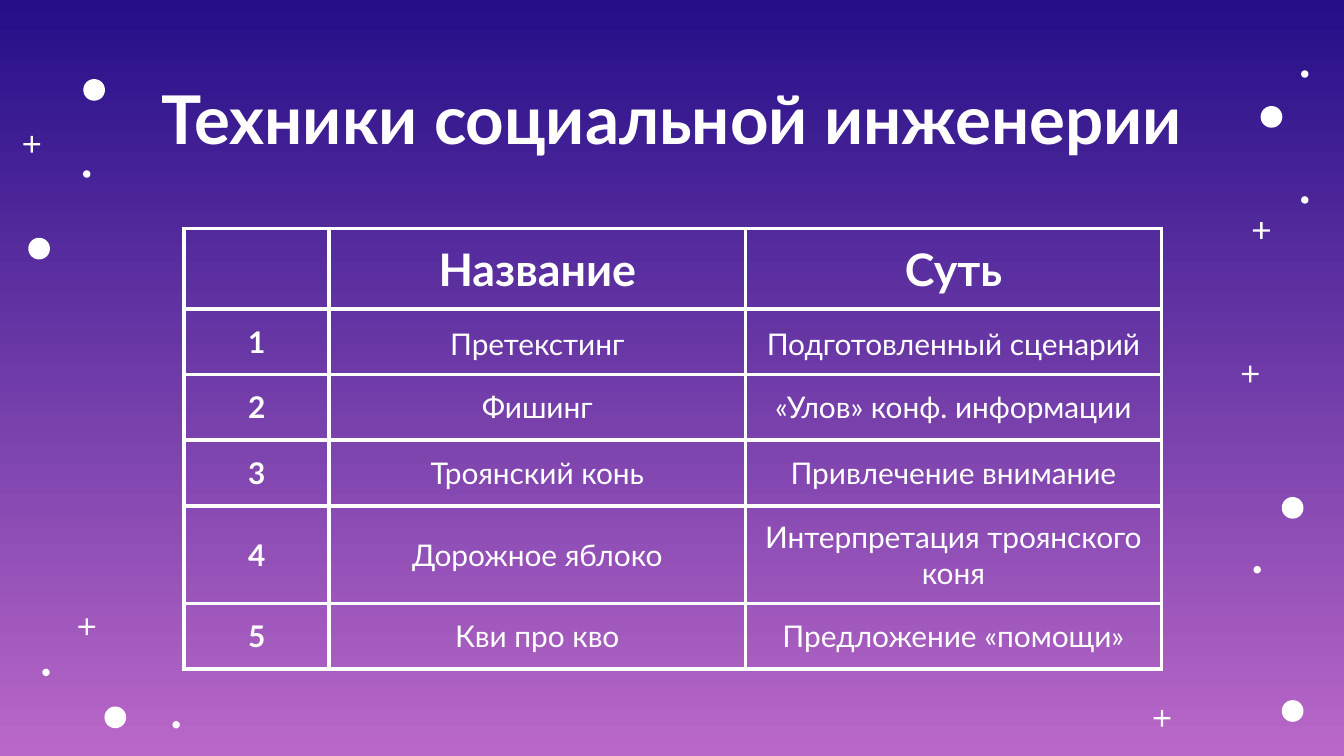
from lxml import etree
from pptx import Presentation
from pptx.dml.color import RGBColor
from pptx.enum.shapes import MSO_SHAPE
from pptx.enum.text import MSO_ANCHOR, MSO_AUTO_SIZE, PP_ALIGN
from pptx.oxml.ns import qn
from pptx.util import Cm, Pt

CIRCLE, PLUS = MSO_SHAPE.OVAL, MSO_SHAPE.MATH_PLUS
MIDDLE, BOTTOM = MSO_ANCHOR.MIDDLE, MSO_ANCHOR.BOTTOM
CENTER = PP_ALIGN.CENTER
NO_AUTOFIT = MSO_AUTO_SIZE.NONE

COLORS = {"top": "240E88", "bottom": "BA68C8", "white": "FFFFFF"}
FONT = "Lato"
TITLE = "Техники социальной инженерии"
HEADERS = ["", "Название", "Суть"]
TECHNIQUES = [
    ("Претекстинг", "Подготовленный сценарий"),
    ("Фишинг", "«Улов» конф. информации"),
    ("Троянский конь", "Привлечение внимание"),
    ("Дорожное яблоко", "Интерпретация троянского коня"),
    ("Кви про кво", "Предложение «помощи»"),
]

# Shape, size and centres of the stars, in centimetres
STARS = [
    (CIRCLE, 0.41, [(24.03, 2.21), (24.43, 9.6), (24.43, 13.44),
                    (1.78, 1.7), (2.18, 13.56), (0.74, 4.7)]),
    (CIRCLE, 0.14, [(24.66, 1.4), (24.66, 3.78), (23.76, 10.77),
                    (1.64, 3.29), (0.87, 12.71), (3.33, 13.7)]),
    (PLUS, 0.43, [(23.63, 7.07), (23.84, 4.36), (0.6, 2.73),
                  (1.64, 11.85), (21.96, 13.58)]),
]
PLUS_THICKNESS = 0.1

TABLE_LEFT, TABLE_TOP = 3.48, 4.32
COLUMN_WIDTHS = [2.74, 7.87, 7.86]
ROW_HEIGHTS = [1.52] + [1.24] * len(TECHNIQUES)
CELL_MARGIN = Cm(0.25)
BORDER_WIDTH = Pt(2.25)


def color(name):
    return RGBColor.from_string(COLORS[name])


def set_attributes(target, values):
    for name, value in values.items():
        setattr(target, name, value)


def write_text(text_frame, text, size, bold):
    paragraph = text_frame.paragraphs[0]
    paragraph.alignment = CENTER
    if text:
        run = paragraph.add_run()
        run.text = text
        set_attributes(run.font, {"name": FONT, "size": Pt(size), "bold": bold})
        run.font.color.rgb = color("white")


def add_borders(cell):
    properties = cell._tc.get_or_add_tcPr()
    for side in ("lnL", "lnR", "lnT", "lnB"):
        line = etree.SubElement(properties, qn(f"a:{side}"), w=str(BORDER_WIDTH))
        fill = etree.SubElement(line, qn("a:solidFill"))
        etree.SubElement(fill, qn("a:srgbClr"), val=COLORS["white"])


def paint_background(slide):
    fill = slide.background.fill
    fill.gradient()
    fill.gradient_angle = 270
    for stop, name in zip(fill.gradient_stops, ("top", "bottom")):
        stop.color.rgb = color(name)


def add_stars(slide):
    for kind, size, centres in STARS:
        for x, y in centres:
            star = slide.shapes.add_shape(
                kind, Cm(x - size / 2), Cm(y - size / 2), Cm(size), Cm(size))
            star.shadow.inherit = False
            star.fill.solid()
            star.fill.fore_color.rgb = color("white")
            star.line.fill.background()
            if kind == PLUS:
                star.adjustments[0] = PLUS_THICKNESS


def add_techniques_table(slide):
    rows = [HEADERS] + [(str(number), *technique)
                        for number, technique in enumerate(TECHNIQUES, 1)]
    table = slide.shapes.add_table(
        len(rows), len(HEADERS), Cm(TABLE_LEFT), Cm(TABLE_TOP),
        Cm(sum(COLUMN_WIDTHS)), Cm(sum(ROW_HEIGHTS))).table
    set_attributes(table, {"first_row": False, "horz_banding": False})
    for column, width in zip(table.columns, COLUMN_WIDTHS):
        column.width = Cm(width)
    for row, height in zip(table.rows, ROW_HEIGHTS):
        row.height = Cm(height)
    for i, texts in enumerate(rows):
        for j, text in enumerate(texts):
            cell = table.cell(i, j)
            set_attributes(cell, {
                "margin_left": CELL_MARGIN, "margin_right": CELL_MARGIN,
                "margin_top": CELL_MARGIN, "margin_bottom": CELL_MARGIN,
                "vertical_anchor": BOTTOM if i == 1 and j > 0 else MIDDLE,
            })
            write_text(cell.text_frame, text, 24 if i == 0 else 16, i == 0 or j == 0)
            add_borders(cell)
            cell.fill.background()


def add_title(slide):
    title = slide.shapes.title
    set_attributes(title, {"left": Cm(1.98), "top": Cm(1.5),
                           "width": Cm(21.44), "height": Cm(1.45)})
    set_attributes(title.text_frame, {
        "margin_left": CELL_MARGIN, "margin_right": CELL_MARGIN,
        "margin_top": CELL_MARGIN, "margin_bottom": CELL_MARGIN,
        "vertical_anchor": MIDDLE, "word_wrap": True, "auto_size": NO_AUTOFIT,
    })
    write_text(title.text_frame, TITLE, 36, True)


def main():
    presentation = Presentation()
    set_attributes(presentation, {"slide_width": Cm(25.4), "slide_height": Cm(14.29)})
    slide = presentation.slides.add_slide(presentation.slide_layouts[5])
    paint_background(slide)
    add_stars(slide)
    add_techniques_table(slide)
    add_title(slide)
    presentation.save("out.pptx")


if __name__ == "__main__":
    main()
